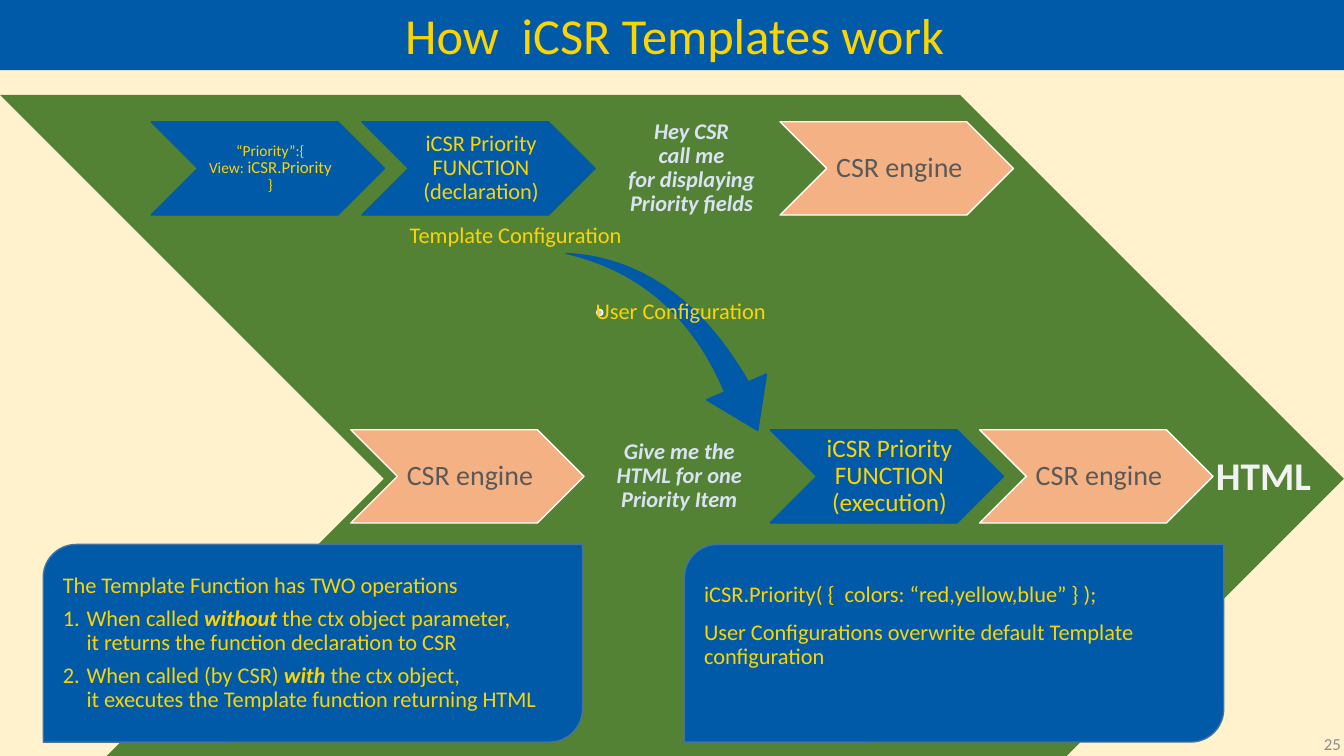
from lxml import etree
from pptx import Presentation
from pptx.dml.color import RGBColor
from pptx.enum import shapes, text
from pptx.oxml import ns
from pptx.util import Cm, Pt

BLUE = RGBColor(0x00, 0x5A, 0xA8)
GREEN = RGBColor(0x54, 0x82, 0x35)
CREAM = RGBColor(0xFF, 0xF2, 0xCC)
YELLOW = RGBColor(0xFC, 0xD5, 0x00)
PEACH = RGBColor(0xF4, 0xB1, 0x83)
WHITE = RGBColor(0xFF, 0xFF, 0xFF)
OFF_WHITE = RGBColor(0xF2, 0xF2, 0xF2)
PALE_BLUE = RGBColor(0xDA, 0xE3, 0xF3)
DOT_BLUE = RGBColor(0xB5, 0xCB, 0xE7)
STEEL = RGBColor(0x43, 0x73, 0x9E)
DARK_GREY = RGBColor(0x59, 0x59, 0x59)
GREY = RGBColor(0x8C, 0x8C, 0x8C)

FONT = "Calibri"
PLAIN, STRONG = False, True
PRESET = shapes.MSO_SHAPE
LEFT, CENTER, RIGHT = text.PP_ALIGN.LEFT, text.PP_ALIGN.CENTER, text.PP_ALIGN.RIGHT
TOP, MIDDLE, BOTTOM = text.MSO_ANCHOR.TOP, text.MSO_ANCHOR.MIDDLE, text.MSO_ANCHOR.BOTTOM

SLIDE_W, SLIDE_H = 33.87, 19.05
STEP_W, STEP_H = 5.88, 2.35
BOX_W, BOX_H, BOX_TOP = 13.59, 4.98, 13.72
BOX_INSETS = (0.25, 0.13, 0.25, 0.13)
STEP_INSETS = (0.18, 0.05, 0.05, 0.05)
LABEL_INSETS = (0.05, 0.05, 0.05, 0.05)

title = "How  iCSR Templates work"
engine = [("CSR engine", 20)]
view_setting = [("“Priority”:{\nView: ", 11), ("iCSR.Priority\n", 12), ("}", 11)]
declaration = [("iCSR Priority\nFUNCTION\n(declaration)", 16)]
execution = [("iCSR Priority\nFUNCTION\n(execution)", 18)]

steps = [
    (3.81, 3.07, BLUE, BLUE, YELLOW, view_setting),
    (9.12, 3.07, BLUE, BLUE, YELLOW, declaration),
    (19.66, 3.07, PEACH, WHITE, DARK_GREY, engine),
    (8.84, 10.83, PEACH, WHITE, DARK_GREY, engine),
    (19.41, 10.83, BLUE, BLUE, YELLOW, execution),
    (24.69, 10.83, PEACH, WHITE, DARK_GREY, engine),
]
requests = [
    (15.6, 3.07, "Hey CSR\ncall me\nfor displaying\nPriority fields"),
    (15.29, 10.83, "Give me the HTML for one Priority Item"),
]
labels = [
    (9.91, 5.26, 6.17, CENTER, BOTTOM, "Template Configuration"),
    (14.96, 7.34, 4.72, LEFT, MIDDLE, "User Configuration"),
]
operations = [
    (10, False, [("The Template Function has TWO operations", PLAIN)]),
    (6, True, [("When called ", PLAIN), ("without", STRONG),
               (" the ctx object parameter,\nit returns the function declaration to CSR", PLAIN)]),
    (6, True, [("When called (by CSR) ", PLAIN), ("with", STRONG),
               (" the ctx object,\nit executes the Template function returning HTML", PLAIN)]),
]
configuration = [
    (10, False, [("iCSR.Priority( {  colors: “red,yellow,blue” } );", PLAIN)]),
    (10, False, [("User Configurations overwrite default Template configuration", PLAIN)]),
]
explanations = [
    (1.09, BOX_INSETS, operations),
    (17.25, (0.25, 0.13, 0.25, 1.0), configuration),
]

deck = Presentation()
deck.slide_width, deck.slide_height = Cm(SLIDE_W), Cm(SLIDE_H)
slide = deck.slides.add_slide(deck.slide_layouts[6])
slide.background.fill.solid()
slide.background.fill.fore_color.rgb = CREAM


def add_figure(preset, left, top, width, height, fill, line=None):
    figure = slide.shapes.add_shape(preset, Cm(left), Cm(top), Cm(width), Cm(height))
    figure.shadow.inherit = False
    figure.fill.solid()
    figure.fill.fore_color.rgb = fill
    if line is None:
        figure.line.fill.background()
    else:
        figure.line.color.rgb = line
        figure.line.width = Pt(1)
    return figure


def set_frame(figure, anchor, insets):
    frame = figure.text_frame
    frame.word_wrap = True
    frame.vertical_anchor = anchor
    (frame.margin_left, frame.margin_top,
     frame.margin_right, frame.margin_bottom) = map(Cm, insets)
    return frame


def add_words(paragraph, words, size, colour, bold=False, italic=False):
    for index, part in enumerate(words.split("\n")):
        if index:
            paragraph.add_line_break()
        if part:
            run = paragraph.add_run()
            run.text = part
            run.font.name, run.font.size = FONT, Pt(size)
            run.font.bold, run.font.italic = bold, italic
            run.font.color.rgb = colour


def write(figure, runs, colour, align=CENTER, anchor=MIDDLE, insets=STEP_INSETS,
          spacing=0.9, bold=False, italic=False):
    paragraph = set_frame(figure, anchor, insets).paragraphs[0]
    paragraph.alignment = align
    paragraph.line_spacing = spacing
    for words, size in runs:
        add_words(paragraph, words, size, colour, bold, italic)


def add_label(left, top, width, height, *args, **style):
    label = slide.shapes.add_textbox(Cm(left), Cm(top), Cm(width), Cm(height))
    write(label, *args, **style)


def number(paragraph):
    properties = paragraph._p.get_or_add_pPr()
    properties.set("marL", str(Cm(0.6)))
    properties.set("indent", str(-Cm(0.6)))
    bullet = etree.SubElement(properties, ns.qn("a:buAutoNum"))
    bullet.set("type", "arabicPeriod")


banner = add_figure(PRESET.RECTANGLE, 0, -0.03, 34.01, 1.8, BLUE)
write(banner, [(title, 36)], YELLOW, insets=BOX_INSETS, spacing=1.0)
add_figure(PRESET.CHEVRON, 0, 2.39, SLIDE_W, 19.35, GREEN)
add_label(29.77, 11.28, 3.91, 1.65, [("HTML", 28)], OFF_WHITE, anchor=TOP,
          insets=(0.36, 0.23, 0.13, 0.23), bold=True)

for left, top, fill, line, colour, runs in steps:
    step = add_figure(PRESET.CHEVRON, left, top, STEP_W, STEP_H, fill, line)
    write(step, runs, colour)

for left, top, words in requests:
    add_label(left, top, 3.53, STEP_H, [(words, 16)], PALE_BLUE, bold=True, italic=True)

for left, insets, paragraphs in explanations:
    box = add_figure(PRESET.ROUND_2_DIAG_RECTANGLE, left, BOX_TOP, BOX_W, BOX_H, BLUE, STEEL)
    frame = set_frame(box, MIDDLE, insets)
    for index, (before, numbered, runs) in enumerate(paragraphs):
        paragraph = frame.add_paragraph() if index else frame.paragraphs[0]
        paragraph.alignment = LEFT
        paragraph.line_spacing = 0.9
        paragraph.space_before = Pt(before)
        if numbered:
            number(paragraph)
        for words, strong in runs:
            add_words(paragraph, words, 16, YELLOW, strong, strong)

swoosh = add_figure(PRESET.SWOOSH_ARROW, 14.15, 6.55, 5.66, 3.96, BLUE, BLUE)
swoosh.adjustments[0], swoosh.adjustments[1] = 0.163, 0.314
swoosh.rotation = 73.3
add_figure(PRESET.OVAL, 15.04, 7.8, 0.15, 0.15, DOT_BLUE, WHITE)

for left, top, width, align, anchor, words in labels:
    add_label(left, top, width, 1.04, [(words, 16)], YELLOW, align, anchor, LABEL_INSETS)

add_label(26.42, 18.24, 7.62, 1.02, [("25", 12)], GREY, RIGHT, insets=BOX_INSETS, spacing=1.0)

deck.save("out.pptx")
